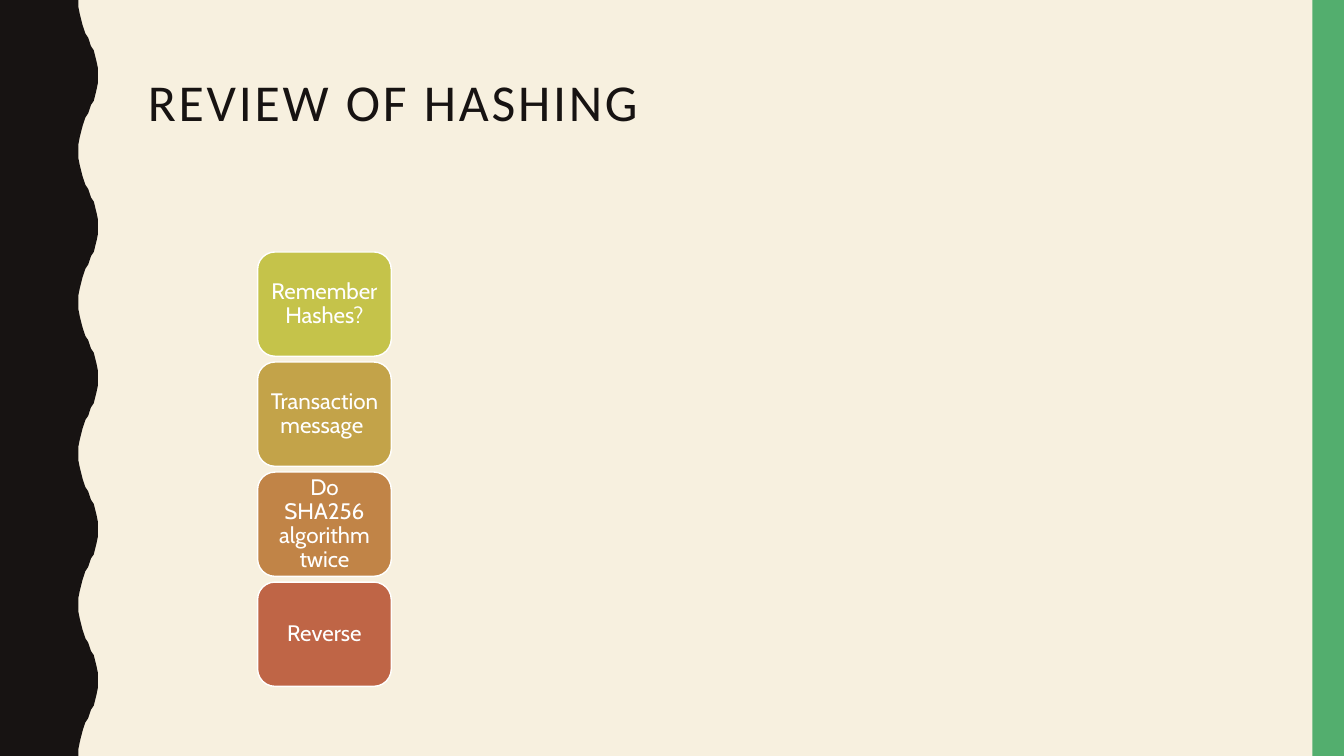
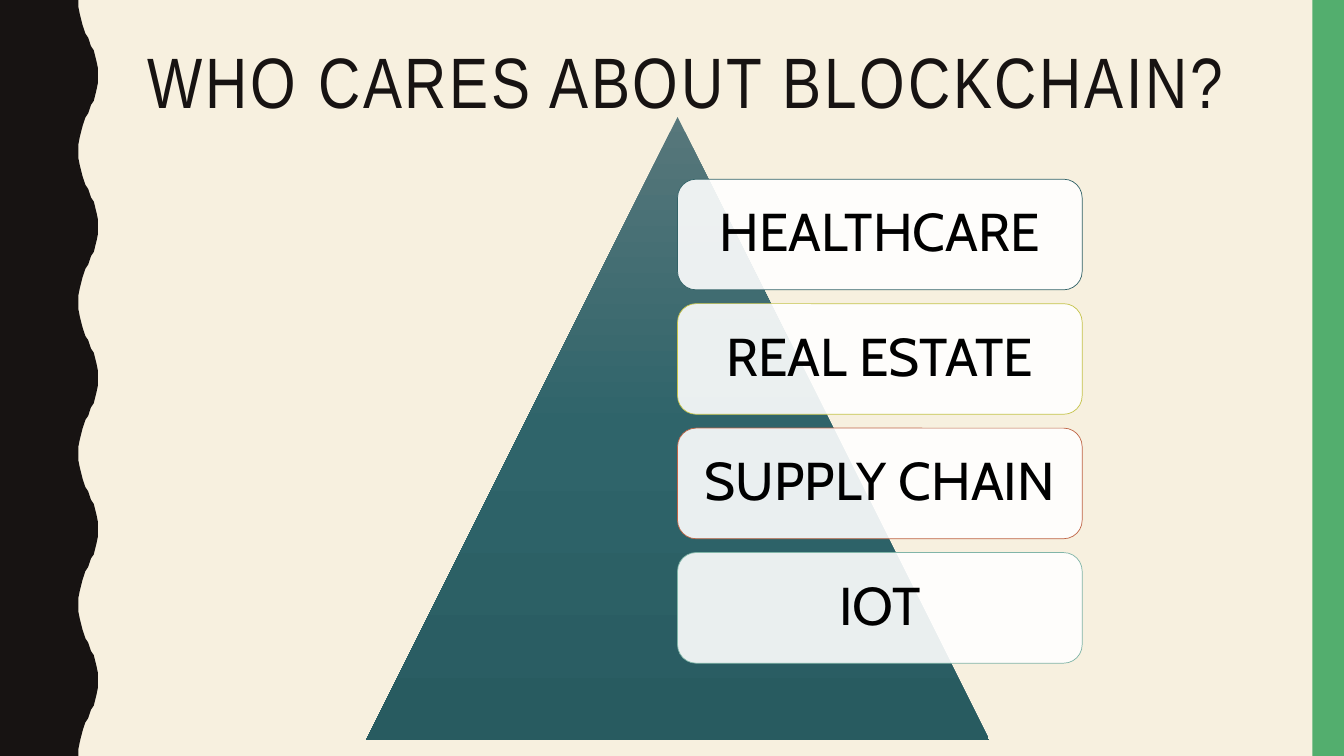
from copy import deepcopy

from lxml.etree import SubElement
from pptx import Presentation
from pptx.dml.color import RGBColor
from pptx.enum.shapes import MSO_SHAPE as Preset
from pptx.enum.text import MSO_ANCHOR as Anchor, PP_ALIGN as Align
from pptx.oxml.ns import qn
from pptx.util import Pt

CREAM = RGBColor(0xF7, 0xF0, 0xDF)
INK = RGBColor(0x17, 0x13, 0x12)
GREEN = RGBColor(0x53, 0xAE, 0x6E)
WHITE = RGBColor(0xFF, 0xFF, 0xFF)
BLACK = RGBColor(0x00, 0x00, 0x00)
LIME = RGBColor(0xC5, 0xC3, 0x4A)
MUSTARD = RGBColor(0xC3, 0xA3, 0x49)
COPPER = RGBColor(0xC1, 0x84, 0x47)
BRICK = RGBColor(0xBF, 0x65, 0x46)
TEAL = RGBColor(0x32, 0x62, 0x67)
SAGE = RGBColor(0x81, 0xB5, 0xA8)
PYRAMID_STOPS = [
    (0, RGBColor(0x57, 0x77, 0x7B)),
    (0.5, RGBColor(0x2F, 0x64, 0x6A)),
    (1, RGBColor(0x28, 0x5B, 0x60)),
]

WIDTH, HEIGHT = 960, 540
WAVE_PERIOD = 108
# Left edge of the wave from trough to crest; the way back mirrors it.
RISE = [(56, 0), (56.4, 5), (57, 10), (57.6, 14.5), (58.6, 18), (60, 21),
        (61.3, 24), (62.6, 27), (64, 30), (65.4, 33), (66.8, 36),
        (68, 39.5), (69, 44), (69.8, 49), (70, 54)]
FALL = [(x, WAVE_PERIOD - y) for x, y in reversed(RISE[:-1])]


def write_text(shape, text, *, size, font, color, align=Align.LEFT,
               anchor=Anchor.TOP, insets=(7.2, 3.6), spacing=0):
    frame = shape.text_frame
    frame.word_wrap = True
    frame.vertical_anchor = anchor
    frame.margin_left = frame.margin_right = Pt(insets[0])
    frame.margin_top = frame.margin_bottom = Pt(insets[1])
    paragraph = frame.paragraphs[0]
    paragraph.alignment = align
    paragraph.line_spacing = 0.9
    run = paragraph.add_run()
    run.text = text
    run.font.size = Pt(size)
    run.font.name = font
    run.font.color.rgb = color
    if spacing:
        run.font._element.set("spc", str(spacing * 100))


def add_block(slide, preset, box, fill, line=None, line_width=1):
    block = slide.shapes.add_shape(preset, *map(Pt, box))
    block.shadow.inherit = False
    block.fill.solid()
    block.fill.fore_color.rgb = fill
    if line is None:
        block.line.fill.background()
    else:
        block.line.color.rgb = line
        block.line.width = Pt(line_width)
    return block


prs = Presentation()
prs.slide_width, prs.slide_height = Pt(WIDTH), Pt(HEIGHT)
background = prs.slide_master.background.fill
background.solid()
background.fore_color.rgb = CREAM

titles = [
    ("REVIEW OF HASHING", (98.6, 51, 446, 129), 37, "Calibri"),
    ("WHO CARES ABOUT BLOCKCHAIN?", (98.6, 30, 801, 117), 51, "Arial Narrow"),
]
slides = []
for title, box, size, font in titles:
    slide = prs.slides.add_slide(prs.slide_layouts[6])
    slides.append(slide)

    outline = slide.shapes.build_freeform(0, 0, scale=Pt(1))
    wave_edge = [(x, y + top) for top in range(0, HEIGHT, WAVE_PERIOD)
                 for x, y in RISE + FALL]
    outline.add_line_segments(wave_edge + [(0, HEIGHT)], close=True)
    wave = outline.convert_to_shape()
    wave.shadow.inherit = False
    wave.fill.solid()
    wave.fill.fore_color.rgb = INK
    wave.line.fill.background()

    add_block(slide, Preset.RECTANGLE, (937.5, 0, 22.5, HEIGHT), GREEN)
    heading = slide.shapes.add_textbox(*map(Pt, box))
    write_text(heading, title, size=size, font=font, color=INK, spacing=2)

hashing, industries = slides

# Hashing steps
steps = [("Remember Hashes?", LIME), ("Transaction message ", MUSTARD),
         ("Do SHA256 algorithm twice", COPPER), ("Reverse", BRICK)]
for row, (step, color) in enumerate(steps):
    card = add_block(hashing, Preset.ROUNDED_RECTANGLE,
                     (184, 180 + row * 78.6, 95.5, 74.5), color, WHITE)
    write_text(card, step, size=16, font="Cabin", color=WHITE,
               align=Align.CENTER, anchor=Anchor.MIDDLE, insets=(4.8, 2.4))

# Industries in front of the pyramid
pyramid = add_block(industries, Preset.ISOSCELES_TRIANGLE,
                    (261.5, 83.5, 445, 445), TEAL)
pyramid.fill.gradient()
pyramid.fill.gradient_angle = 270
stop_list = pyramid._element.spPr.find(".//" + qn("a:gsLst"))
stop_list.insert(1, deepcopy(stop_list[0]))
for stop, (position, color) in zip(pyramid.fill.gradient_stops, PYRAMID_STOPS):
    stop.position = position
    stop.color.rgb = color

sectors = [("HEALTHCARE", TEAL), ("REAL ESTATE", LIME),
           ("SUPPLY CHAIN", BRICK), ("IOT", SAGE)]
for row, (sector, color) in enumerate(sectors):
    card = add_block(industries, Preset.ROUNDED_RECTANGLE,
                     (484, 128 + row * 88.9, 289, 79), WHITE, color, 0.5)
    card_color = card._element.spPr.find(qn("a:solidFill") + "/" + qn("a:srgbClr"))
    SubElement(card_color, qn("a:alpha"), val="90000")
    write_text(card, sector, size=38, font="Cabin", color=BLACK,
               align=Align.CENTER, anchor=Anchor.MIDDLE, insets=(11.5, 11.5))

prs.save("out.pptx")
